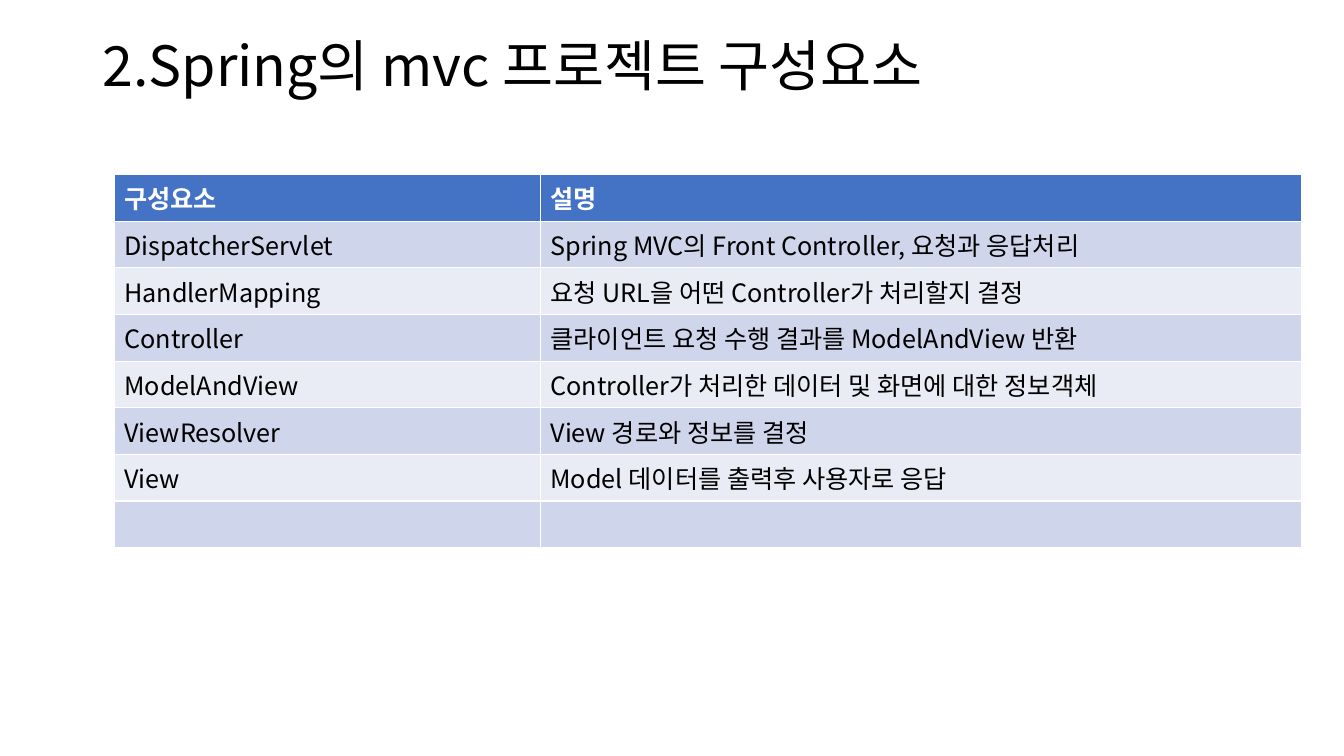
from dataclasses import dataclass
from lxml.etree import SubElement
from pptx import Presentation
from pptx.dml.color import RGBColor as RGB
from pptx.enum.text import MSO_ANCHOR as Anchor, MSO_AUTO_SIZE as Auto, PP_ALIGN as Align
from pptx.oxml.ns import qn
from pptx.util import Cm, Pt


@dataclass
class Theme:
    face: str = "Noto Sans CJK KR"
    big: float = 39.6
    text: float = 18
    ink: str = "000000"
    white: str = "FFFFFF"
    head: str = "4472C4"
    bands: tuple = ("E9EBF5", "CFD5EA")


theme = Theme()


def style(para, size, color, bold=False):
    font = para.font
    font.size = Pt(size)
    font.bold = bold
    font.color.rgb = RGB.from_string(color)
    font.name = theme.face
    SubElement(font._rPr, qn("a:ea"), typeface=theme.face)


deck = Presentation()
deck.slide_width, deck.slide_height = Cm(33.87), Cm(19.05)
slide = deck.slides.add_slide(deck.slide_layouts[5])

title = slide.shapes.title
title.left, title.top, title.width, title.height = Cm(2.33), Cm(1.01), Cm(29.21), Cm(1.45)
frame = title.text_frame
frame.text = "2.Spring의 mvc 프로젝트 구성요소"
frame.vertical_anchor = Anchor.MIDDLE
frame.auto_size = Auto.NONE
para = frame.paragraphs[0]
para.alignment = Align.LEFT
para.line_spacing = 0.9
style(para, theme.big, theme.ink)

rows = [
    ("구성요소", "설명"),
    ("DispatcherServlet", "Spring MVC의 Front Controller, 요청과 응답처리"),
    ("HandlerMapping", "요청 URL을 어떤 Controller가 처리할지 결정"),
    ("Controller", "클라이언트 요청 수행 결과를 ModelAndView 반환"),
    ("ModelAndView", "Controller가 처리한 데이터 및 화면에 대한 정보객체"),
    ("ViewResolver", "View 경로와 정보를 결정"),
    ("View", "Model 데이터를 출력후 사용자로 응답"),
    ("", ""),
]
widths = Cm(10.74), Cm(19.18)
table = slide.shapes.add_table(
    len(rows), len(widths), Cm(2.88), Cm(4.4), sum(widths), Cm(9.4)
).table
for col, width in zip(table.columns, widths):
    col.width = width

for r, row in enumerate(rows):
    top = r == 0
    for c, text in enumerate(row):
        cell = table.cell(r, c)
        cell.fill.solid()
        cell.fill.fore_color.rgb = RGB.from_string(theme.head if top else theme.bands[r % 2])
        cell.text = text
        style(cell.text_frame.paragraphs[0], theme.text, theme.white if top else theme.ink, top)

deck.save("out.pptx")
